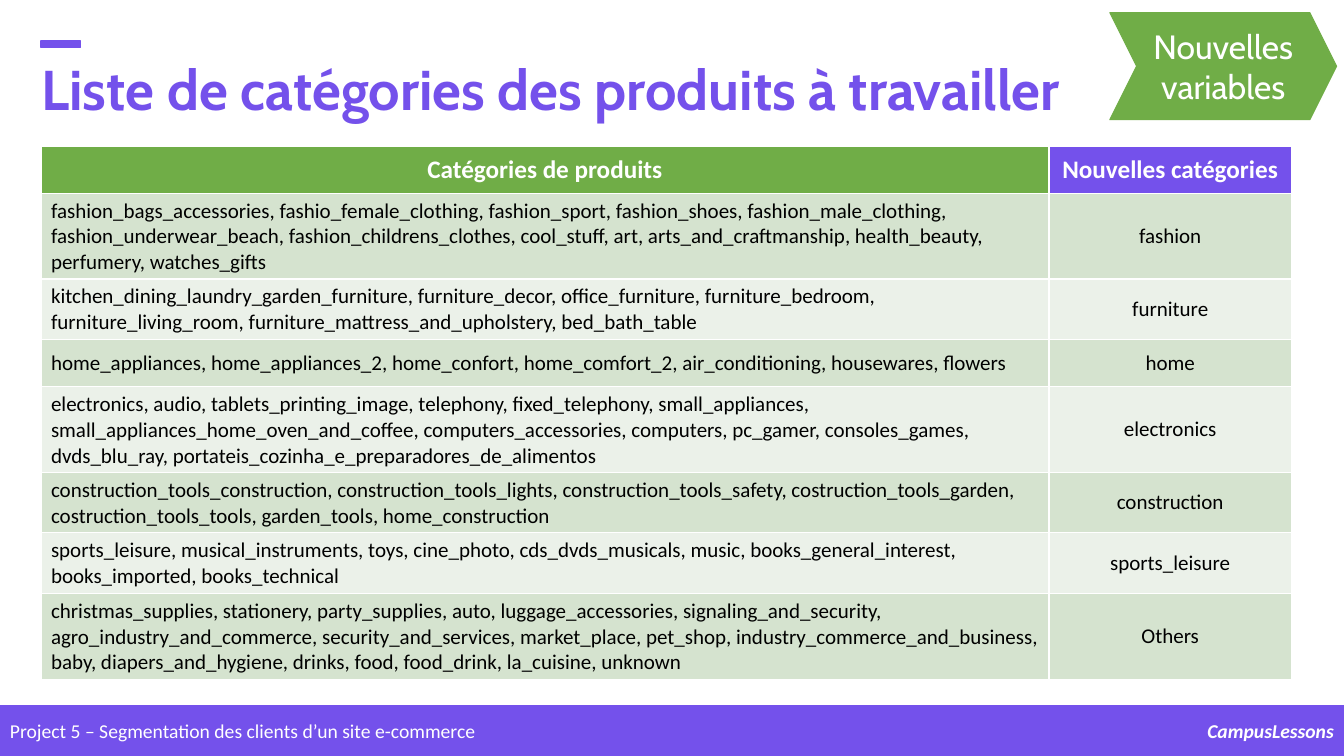
from pptx import Presentation
from pptx.dml.color import RGBColor
from pptx.enum.shapes import MSO_SHAPE as Shape
from pptx.enum.text import MSO_ANCHOR as Anchor, MSO_AUTO_SIZE as AutoSize, PP_ALIGN as Align
from pptx.util import Pt

PX = 9525
COLORS = {
    "violet": "7451EB",
    "green": "70AD47",
    "band_dark": "D5E3CF",
    "band_light": "EBF1E9",
    "white": "FFFFFF",
    "black": "000000",
}
HEADERS = [("Catégories de produits", "green"), ("Nouvelles catégories", "violet")]
CATEGORIES = [
    ("fashion", 3, "fashion_bags_accessories, fashio_female_clothing, fashion_sport, fashion_shoes, "
     "fashion_male_clothing, fashion_underwear_beach, fashion_childrens_clothes, cool_stuff, art, "
     "arts_and_craftmanship, health_beauty, perfumery, watches_gifts"),
    ("furniture", 2, "kitchen_dining_laundry_garden_furniture, furniture_decor, office_furniture, "
     "furniture_bedroom, furniture_living_room, furniture_mattress_and_upholstery, bed_bath_table"),
    ("home", 1, "home_appliances, home_appliances_2, home_confort, home_comfort_2, air_conditioning, "
     "housewares, flowers"),
    ("electronics", 3, "electronics, audio, tablets_printing_image, telephony, fixed_telephony, "
     "small_appliances, small_appliances_home_oven_and_coffee, computers_accessories, computers, "
     "pc_gamer, consoles_games, dvds_blu_ray, portateis_cozinha_e_preparadores_de_alimentos"),
    ("construction", 2, "construction_tools_construction, construction_tools_lights, "
     "construction_tools_safety, costruction_tools_garden, costruction_tools_tools, garden_tools, "
     "home_construction"),
    ("sports_leisure", 2, "sports_leisure, musical_instruments, toys, cine_photo, cds_dvds_musicals, "
     "music, books_general_interest, books_imported, books_technical"),
    ("Others", 3, "christmas_supplies, stationery, party_supplies, auto, luggage_accessories, "
     "signaling_and_security, agro_industry_and_commerce, security_and_services, market_place, "
     "pet_shop, industry_commerce_and_business, baby, diapers_and_hygiene, drinks, food, food_drink, "
     "la_cuisine, unknown"),
]
ROW_HEIGHTS = {1: 45, 2: 57, 3: 81}


def color(name):
    """Return the named colour."""
    return RGBColor.from_string(COLORS[name])


def scaled(*lengths):
    """Turn px lengths into EMU."""
    return [length * PX for length in lengths]


def write(frame, text, size, ink, font="Calibri", align=Align.LEFT, bold=False, italic=False):
    """Write one formatted run into the first paragraph and return the paragraph."""
    paragraph = frame.paragraphs[0]
    paragraph.alignment = align
    run = paragraph.add_run()
    run.text = text
    run.font.name, run.font.size = font, Pt(size)
    run.font.bold, run.font.italic = bold, italic
    run.font.color.rgb = color(ink)
    return paragraph


def add_block(slide, kind, box, fill, line_width=1):
    """Add a flat shape whose line matches its fill."""
    shape = slide.shapes.add_shape(kind, *scaled(*box))
    shape.shadow.inherit = False
    shape.fill.solid()
    shape.fill.fore_color.rgb = color(fill)
    shape.line.color.rgb = color(fill)
    shape.line.width = Pt(line_width)
    return shape


def add_label(slide, box, text, **style):
    """Add a white line of footer text."""
    frame = slide.shapes.add_textbox(*scaled(*box)).text_frame
    frame.word_wrap = True
    write(frame, text, 14, "white", **style)


def add_footer(slide, left, top, width, height):
    """Add the violet band with project and school names."""
    add_block(slide, Shape.RECTANGLE, (left, top, width, height), "violet")
    school_width = 173
    add_label(slide, (left, top + 8, width - school_width, 32),
              "Project 5 – Segmentation des clients d’un site e-commerce")
    add_label(slide, (left + width - school_width, top + 8, school_width, 32),
              "CampusLessons", align=Align.RIGHT, bold=True, italic=True)


def add_heading(slide, left, top, width, height):
    """Place the title with its accent bar above."""
    title = slide.shapes.title
    title.left, title.top, title.width, title.height = scaled(left, top, width, height)
    frame = title.text_frame
    frame.word_wrap = True
    frame.auto_size = AutoSize.NONE
    frame.vertical_anchor = Anchor.MIDDLE
    paragraph = write(frame, "Liste de catégories des produits à travailler", 40, "violet",
                      font="Cabin", bold=True)
    paragraph.line_spacing = 0.9
    add_block(slide, Shape.RECTANGLE, (left + 9, top - 6, 38, 6), "violet")


def add_badge(slide, left, top, width, height):
    """Add the green chevron with its caption."""
    badge = add_block(slide, Shape.CHEVRON, (left, top, width, height), "green", 0.75)
    badge.adjustments[0] = 0.25
    frame = badge.text_frame
    frame.word_wrap = True
    frame.vertical_anchor = Anchor.MIDDLE
    frame.margin_left = frame.margin_right = 0
    write(frame, "Nouvelles variables", 24, "white", font="Cabin", align=Align.CENTER)


def fill_cell(cell, fill, text, size, ink, **style):
    """Fill a table cell and write its text."""
    cell.fill.solid()
    cell.fill.fore_color.rgb = color(fill)
    cell.vertical_anchor = Anchor.MIDDLE
    write(cell.text_frame, text, size, ink, **style)


def add_category_table(slide, left, top, width):
    """Add the table that maps product categories to new ones."""
    heights = [45] + [ROW_HEIGHTS[lines] for _, lines, _ in CATEGORIES]
    frame = slide.shapes.add_table(len(heights), 2, *scaled(left, top, width, sum(heights)))
    table = frame.table
    table.columns[0].width, table.columns[1].width = scaled(960, width - 960)
    for row, height in zip(table.rows, scaled(*heights)):
        row.height = height
    for column, (text, fill) in enumerate(HEADERS):
        fill_cell(table.cell(0, column), fill, text, 18, "white", align=Align.CENTER, bold=True)
    for row, (name, _, products) in enumerate(CATEGORIES, 1):
        band = "band_dark" if row % 2 else "band_light"
        fill_cell(table.cell(row, 0), band, products, 15, "black")
        fill_cell(table.cell(row, 1), band, name, 15, "black", align=Align.CENTER)


def main():
    """Build and save the presentation."""
    presentation = Presentation()
    presentation.slide_width, presentation.slide_height = scaled(1280, 720)
    slide = presentation.slides.add_slide(presentation.slide_layouts[5])
    add_footer(slide, 0, 672, 1280, 48)
    add_heading(slide, 30, 45, 1000, 86)
    add_category_table(slide, 39, 139, 1191)
    add_badge(slide, 1057, 12, 216, 102)
    presentation.save("out.pptx")


if __name__ == "__main__":
    main()
